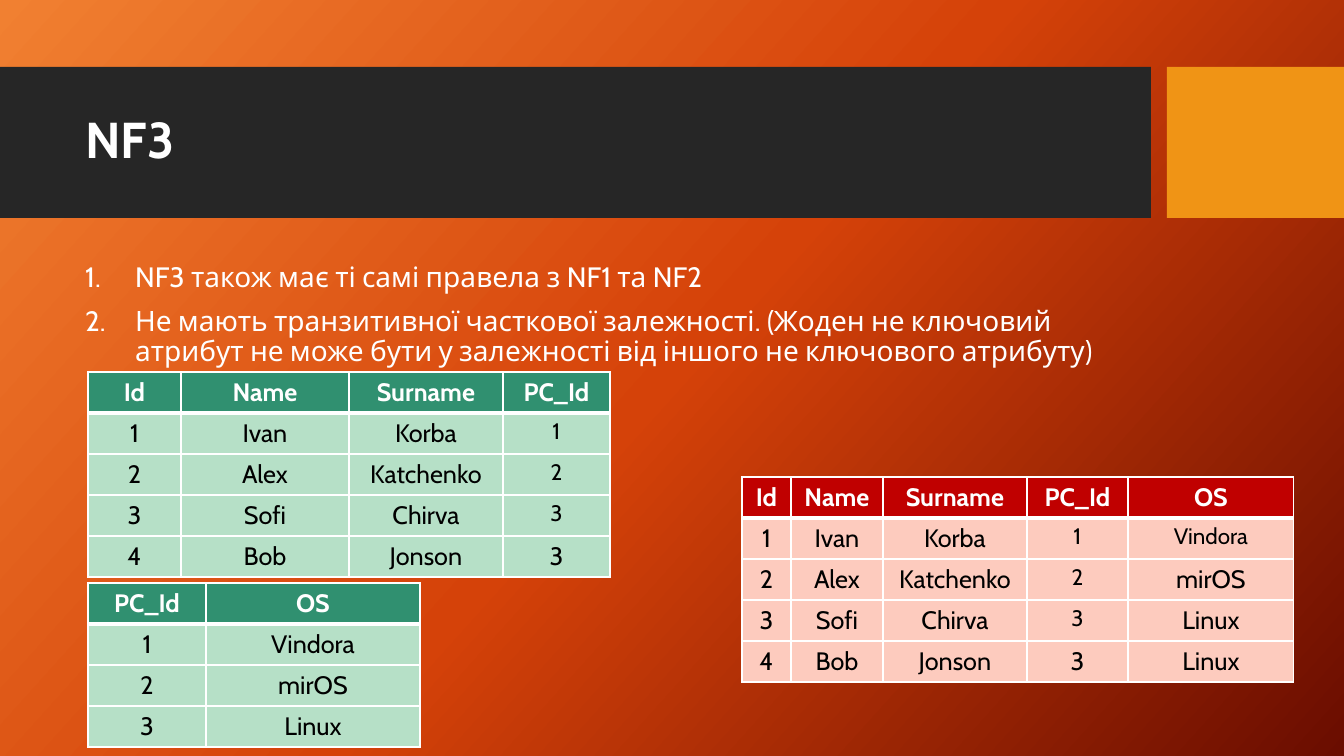
import copy
import dataclasses

import pptx
import pptx.dml.color
import pptx.enum.shapes
import pptx.enum.text
import pptx.oxml
import pptx.oxml.ns
import pptx.util

EMU_PER_PX = 914400 / 100.8


@dataclasses.dataclass(frozen=True)
class Theme:
    font: str = "Cabin"
    background: tuple = ((0, "F18031"), (0.5, "D54209"), (1, "6A0D00"))
    background_angle: int = 318
    band: str = "262626"
    accent: str = "F09415"
    light: str = "FFFFFF"
    dark: str = "000000"
    green: tuple = ("309070", "B6E0C7")
    red: tuple = ("C00000", "FDCBBE")
    title_size: int = 36
    body_size: int = 20
    cell_size: int = 18
    small_cell_size: int = 16
    border: int = 1
    header_border: int = 3


THEME = Theme()

RULES = [
    "NF3 також має ті самі правела з NF1 та NF2",
    "Не мають транзитивної часткової залежності. (Жоден не ключовий "
    "атрибут не може бути у залежності від іншого не ключового атрибуту)",
]
PEOPLE = [
    ["Id", "Name", "Surname", "PC_Id"],
    ["1", "Ivan", "Korba", "1"],
    ["2", "Alex", "Katchenko", "2"],
    ["3", "Sofi", "Chirva", "3"],
    ["4", "Bob", "Jonson", "3"],
]
COMPUTERS = [["PC_Id", "OS"], ["1", "Vindora"], ["2", "mirOS"], ["3", "Linux"]]
SYSTEM_BY_PC = dict(COMPUTERS)
UNNORMALIZED = [person + [SYSTEM_BY_PC[person[-1]]] for person in PEOPLE[1:]]
UNNORMALIZED.insert(0, PEOPLE[0] + ["OS"])

ROW_HEIGHT = 41
SMALL_PC_IDS = {(1, 3), (2, 3), (3, 3)}


def px(length):
    return pptx.util.Emu(round(length * EMU_PER_PX))


def rgb(color):
    return pptx.dml.color.RGBColor.from_string(color)


def style_font(paragraph, size, color, bold=False):
    font = paragraph.font
    font.name = THEME.font
    font.size = pptx.util.Pt(size)
    font.color.rgb = rgb(color)
    font.bold = bold


def place(shape, left, top, width, height):
    shape.left, shape.top = px(left), px(top)
    shape.width, shape.height = px(width), px(height)


def paint_background(slide):
    fill = slide.background.fill
    fill.gradient()
    fill.gradient_angle = THEME.background_angle
    stop_list = slide.element.xpath("p:cSld/p:bg//a:gsLst")[0]
    stop_list.insert(1, copy.deepcopy(stop_list[0]))
    for stop, (position, color) in zip(fill.gradient_stops, THEME.background):
        stop.position = position
        stop.color.rgb = rgb(color)


def add_band(slide, left, width, color):
    """Add a title band behind everything already on the slide."""
    band = slide.shapes.add_shape(
        pptx.enum.shapes.MSO_SHAPE.RECTANGLE, px(left), px(67), px(width), px(151)
    )
    band.shadow.inherit = False
    band.fill.solid()
    band.fill.fore_color.rgb = rgb(color)
    band.line.fill.background()
    slide.shapes.element.insert(2, band.element)


def fill_title(title, text):
    place(title, 75, 83, 1059, 119)
    frame = title.text_frame
    frame.text = text
    frame.auto_size = pptx.enum.text.MSO_AUTO_SIZE.NONE
    frame.vertical_anchor = pptx.enum.text.MSO_ANCHOR.MIDDLE
    heading = frame.paragraphs[0]
    heading.alignment = pptx.enum.text.PP_ALIGN.LEFT
    heading.line_spacing = 0.9
    style_font(heading, THEME.title_size, THEME.light, bold=True)


def fill_numbered_list(body, items):
    place(body, 75, 258, 1059, 397)
    frame = body.text_frame
    frame.text = "\n".join(items)
    frame.auto_size = pptx.enum.text.MSO_AUTO_SIZE.NONE
    frame.vertical_anchor = pptx.enum.text.MSO_ANCHOR.TOP
    for index, item in enumerate(frame.paragraphs):
        item.line_spacing = 0.9
        item.space_before = pptx.util.Pt(10 if index else 0)
        properties = item._p.get_or_add_pPr()
        indent = px(50)
        properties.set("marL", str(indent))
        properties.set("indent", str(-indent))
        for tag, name, value in (
            ("a:buFont", "typeface", THEME.font),
            ("a:buAutoNum", "type", "arabicPeriod"),
        ):
            bullet = pptx.oxml.parse_xml(f"<{tag} {pptx.oxml.ns.nsdecls('a')}/>")
            bullet.set(name, value)
            properties.append(bullet)
        style_font(item, THEME.body_size, THEME.light)


def set_borders(cell, top, bottom):
    """Draw the four cell borders; top and bottom are widths in points."""
    properties = cell._tc.get_or_add_tcPr()
    widths = {"lnL": THEME.border, "lnR": THEME.border, "lnT": top, "lnB": bottom}
    for index, (side, width) in enumerate(widths.items()):
        border = pptx.oxml.parse_xml(
            f'<a:{side} {pptx.oxml.ns.nsdecls("a")} w="{pptx.util.Pt(width)}">'
            f'<a:solidFill><a:srgbClr val="{THEME.light}"/></a:solidFill></a:{side}>'
        )
        properties.insert(index, border)


def add_grid(slide, left, top, widths, rows, colors, small_cells=frozenset()):
    """Add a table; small_cells holds the (row, column) pairs in smaller type."""
    table = slide.shapes.add_table(
        len(rows), len(widths), px(left), px(top),
        px(sum(widths)), px(ROW_HEIGHT * len(rows)),
    ).table
    for column, width in zip(table.columns, widths):
        column.width = px(width)
    header_color, body_color = colors
    for row_index, values in enumerate(rows):
        table.rows[row_index].height = px(ROW_HEIGHT)
        header = row_index == 0
        for column_index, value in enumerate(values):
            cell = table.cell(row_index, column_index)
            cell.text = value
            cell.fill.solid()
            cell.fill.fore_color.rgb = rgb(header_color if header else body_color)
            set_borders(
                cell,
                top=THEME.header_border if row_index == 1 else THEME.border,
                bottom=THEME.header_border if header else THEME.border,
            )
            small = (row_index, column_index) in small_cells
            entry = cell.text_frame.paragraphs[0]
            entry.alignment = pptx.enum.text.PP_ALIGN.CENTER
            style_font(
                entry,
                THEME.small_cell_size if small else THEME.cell_size,
                THEME.light if header else THEME.dark,
                bold=header,
            )


def main():
    deck = pptx.Presentation()
    deck.slide_width, deck.slide_height = px(1344), px(756)
    slide = deck.slides.add_slide(deck.slide_layouts[1])
    paint_background(slide)
    add_band(slide, 1167, 177, THEME.accent)
    add_band(slide, 0, 1151, THEME.band)
    fill_title(slide.shapes.title, "NF3")
    fill_numbered_list(slide.placeholders[1], RULES)
    add_grid(slide, 742, 477, [49, 92, 144, 101, 166], UNNORMALIZED, THEME.red,
             SMALL_PC_IDS | {(1, 4)})
    add_grid(slide, 88, 372, [93, 168, 154, 107], PEOPLE, THEME.green, SMALL_PC_IDS)
    add_grid(slide, 88, 583, [118, 214], COMPUTERS, THEME.green)
    deck.save("out.pptx")


if __name__ == "__main__":
    main()
